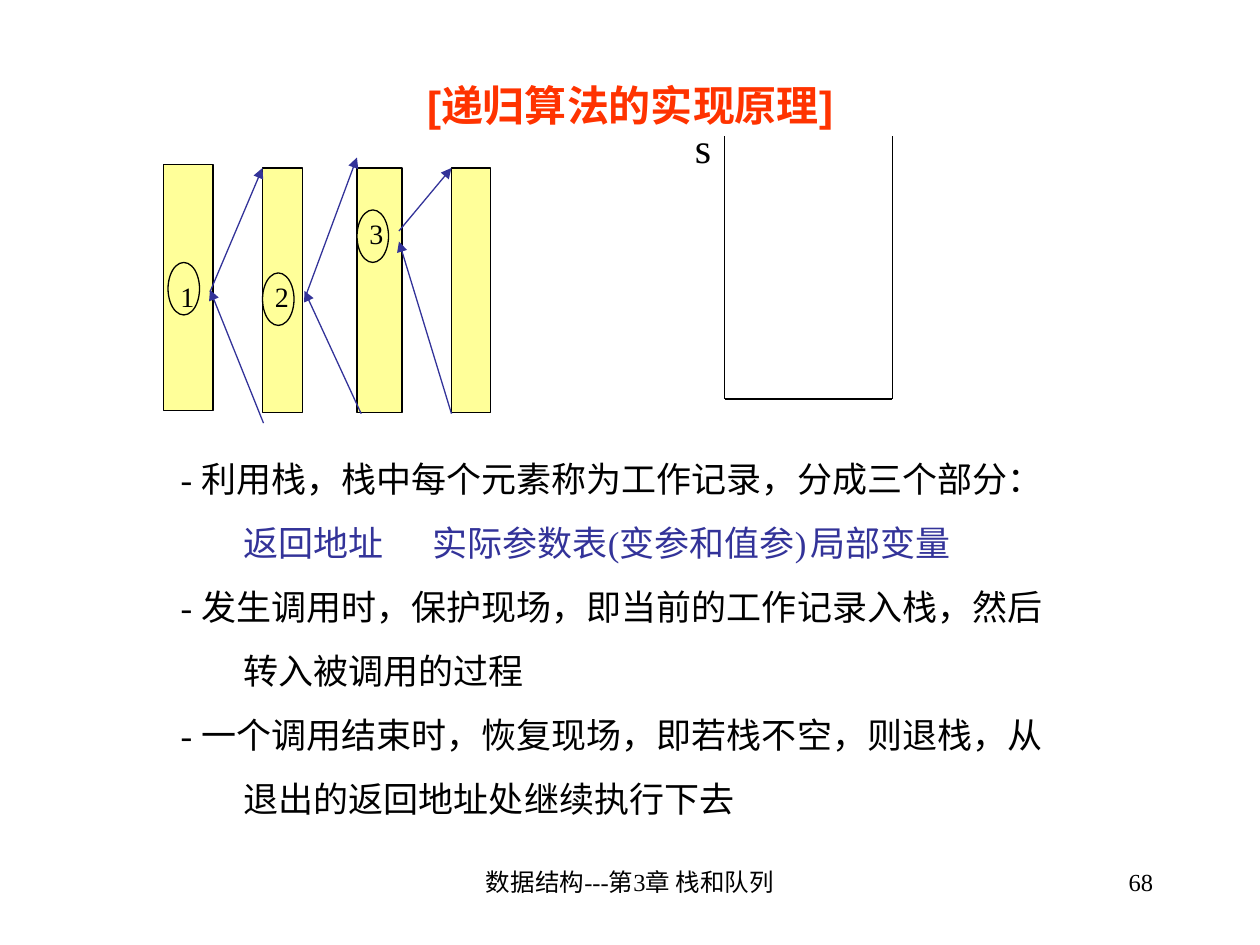
from lxml import etree
from pptx import Presentation
from pptx import util as u
from pptx.dml.color import RGBColor
from pptx.enum import shapes, text
from pptx.oxml.ns import qn

BLACK = RGBColor(0x00, 0x00, 0x00)
RED = RGBColor(0xFF, 0x33, 0x00)
BLUE = RGBColor(0x33, 0x33, 0x99)
YELLOW = RGBColor(0xFF, 0xFF, 0x99)
COLUMNS, ROWS = 120, 90


class StackLesson:
    """Draws lesson elements on a 120 by 90 grid with one shared style."""

    def __init__(self, deck):
        self.slide = deck.slides.add_slide(deck.slide_layouts[1])
        self.column = deck.slide_width / COLUMNS
        self.row = deck.slide_height / ROWS

    def place(self, *cells):
        units = (self.column, self.row) * 2
        return [u.Emu(round(cell * unit)) for cell, unit in zip(cells, units)]

    def move(self, holder, *cells):
        holder.left, holder.top, holder.width, holder.height = self.place(*cells)

    def style(self, paragraph, size, color=BLACK, font="Times New Roman"):
        paragraph.font.size = u.Pt(size)
        paragraph.font.name = font
        paragraph.font.color.rgb = color

    def title(self, words, *cells):
        heading = self.slide.shapes.title
        self.move(heading, *cells)
        heading.text_frame.text = words
        heading.text_frame.auto_size = text.MSO_AUTO_SIZE.NONE
        paragraph = heading.text_frame.paragraphs[0]
        paragraph.alignment = text.PP_ALIGN.CENTER
        paragraph.font.bold = True
        self.style(paragraph, 24, RED, "Arial")

    def body(self, lines, stops, *cells):
        notes = self.slide.placeholders[1]
        self.move(notes, *cells)
        frame = notes.text_frame
        frame.auto_size = text.MSO_AUTO_SIZE.NONE
        frame.text = "\n".join(words for words, _ in lines)
        for paragraph, (_, color) in zip(frame.paragraphs, lines):
            paragraph.space_before = u.Pt(12.5)
            self.style(paragraph, 20, color)
            properties = paragraph._p.get_or_add_pPr()
            properties.set("marL", "0")
            properties.set("indent", "0")
            etree.SubElement(properties, qn("a:buNone"))
            tabs = etree.SubElement(properties, qn("a:tabLst"))
            for stop in stops:
                etree.SubElement(tabs, qn("a:tab"), pos=str(u.Inches(stop)), algn="l")
            defaults = properties.find(qn("a:defRPr"))
            if defaults is not None:
                properties.append(defaults)

    def label(self, words, size, *cells, align=text.PP_ALIGN.LEFT):
        frame = self.slide.shapes.add_textbox(*self.place(*cells)).text_frame
        frame.word_wrap = True
        frame.text = words
        frame.paragraphs[0].alignment = align
        self.style(frame.paragraphs[0], size)

    def block(self, kind, *cells):
        block = self.slide.shapes.add_shape(kind, *self.place(*cells))
        block.shadow.inherit = False
        block.fill.solid()
        block.fill.fore_color.rgb = YELLOW
        block.line.color.rgb = BLACK
        block.line.width = u.Pt(0.75)

    def line(self, *ends, color=BLACK, arrow=False):
        line = self.slide.shapes.add_connector(
            shapes.MSO_CONNECTOR.STRAIGHT, *self.place(*ends))
        line.line.color.rgb = color
        line.line.width = u.Pt(0.75)
        properties = line._element.spPr
        if arrow:
            etree.SubElement(properties.find(qn("a:ln")), qn("a:tailEnd"), type="triangle")
        etree.SubElement(properties, qn("a:effectLst"))


def main():
    deck = Presentation()
    deck.slide_width, deck.slide_height = u.Inches(10), u.Inches(7.5)
    lesson = StackLesson(deck)

    lesson.title("[递归算法的实现原理]", 9, 7, 102, 6)
    lesson.label("数据结构---第3章 栈和队列", 14, 41, 82, 38, 6, align=text.PP_ALIGN.CENTER)
    lesson.label("68", 14, 86, 82, 25, 6, align=text.PP_ALIGN.RIGHT)

    for call in ((15.6, 15.7, 4.7, 23.4), (25, 16, 3.8, 23.3),
                 (34, 16, 4.3, 23.3), (43, 16, 3.7, 23.3)):
        lesson.block(shapes.MSO_SHAPE.RECTANGLE, *call)
    for jump in ((20, 27.8, 25, 16), (29, 28.5, 34, 15), (38, 22, 43, 16),
                 (25.1, 40.3, 20, 27.6), (34.4, 39.4, 29, 27.7), (43, 39.4, 38, 23)):
        lesson.line(*jump, color=BLUE, arrow=True)
    for number, left, top, drop in (("1", 16, 25, 1), ("2", 25, 26, 0), ("3", 34, 20, 0)):
        lesson.block(shapes.MSO_SHAPE.OVAL, left, top, 3, 5)
        lesson.label(number, 16, left, top + drop, 6, 4.4)

    for wall in ((69, 13, 69, 38), (69, 38, 85, 38), (85, 13, 85, 38)):
        lesson.line(*wall)
    lesson.label("s", 24, 65, 11, 4, 6)

    lesson.body([
        ("- 利用栈，栈中每个元素称为工作记录，分成三个部分：", BLACK),
        ("\t返回地址\t实际参数表(变参和值参)\t局部变量", BLUE),
        ("- 发生调用时，保护现场，即当前的工作记录入栈，然后", BLACK),
        ("\t转入被调用的过程", BLACK),
        ("- 一个调用结束时，恢复现场，即若栈不空，则退栈，从", BLACK),
        ("\t退出的返回地址处继续执行下去", BLACK),
    ], (0.19, 1.43, 4.87), 16, 43, 86, 35.6)

    deck.save("out.pptx")


if __name__ == "__main__":
    main()
